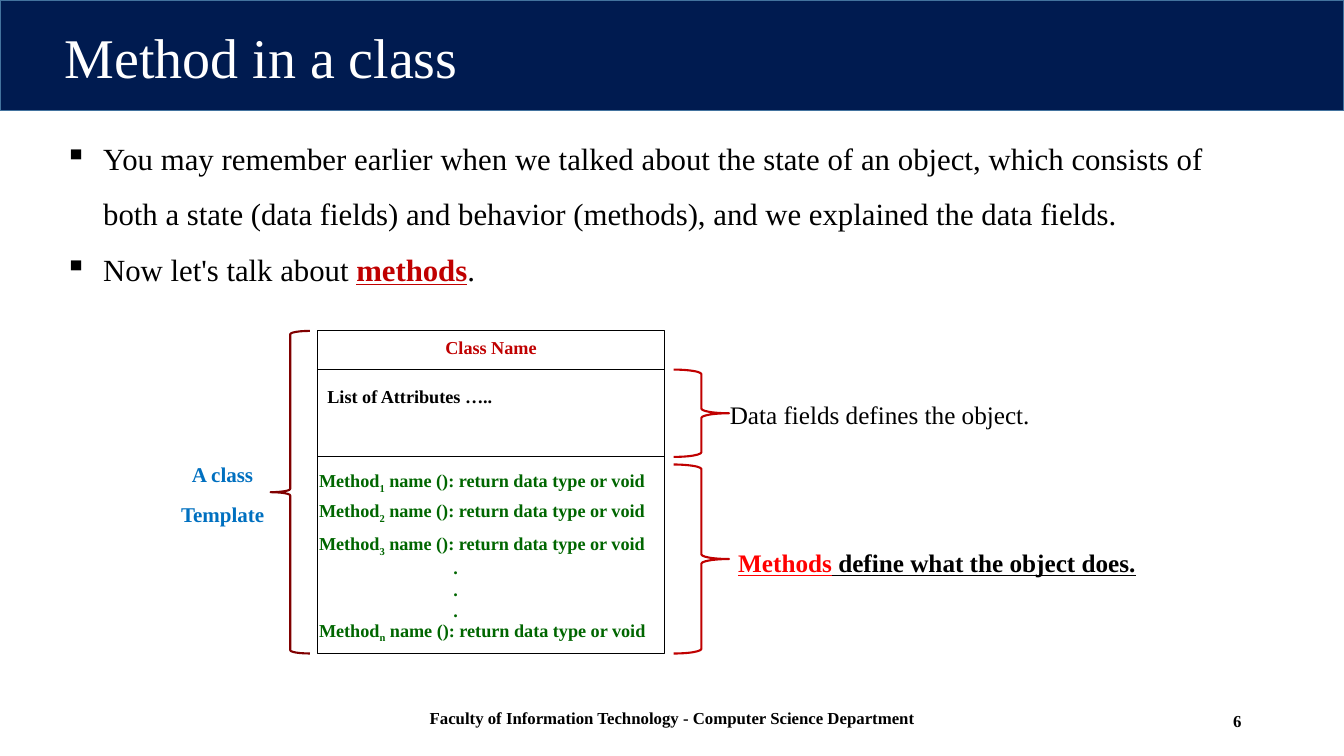
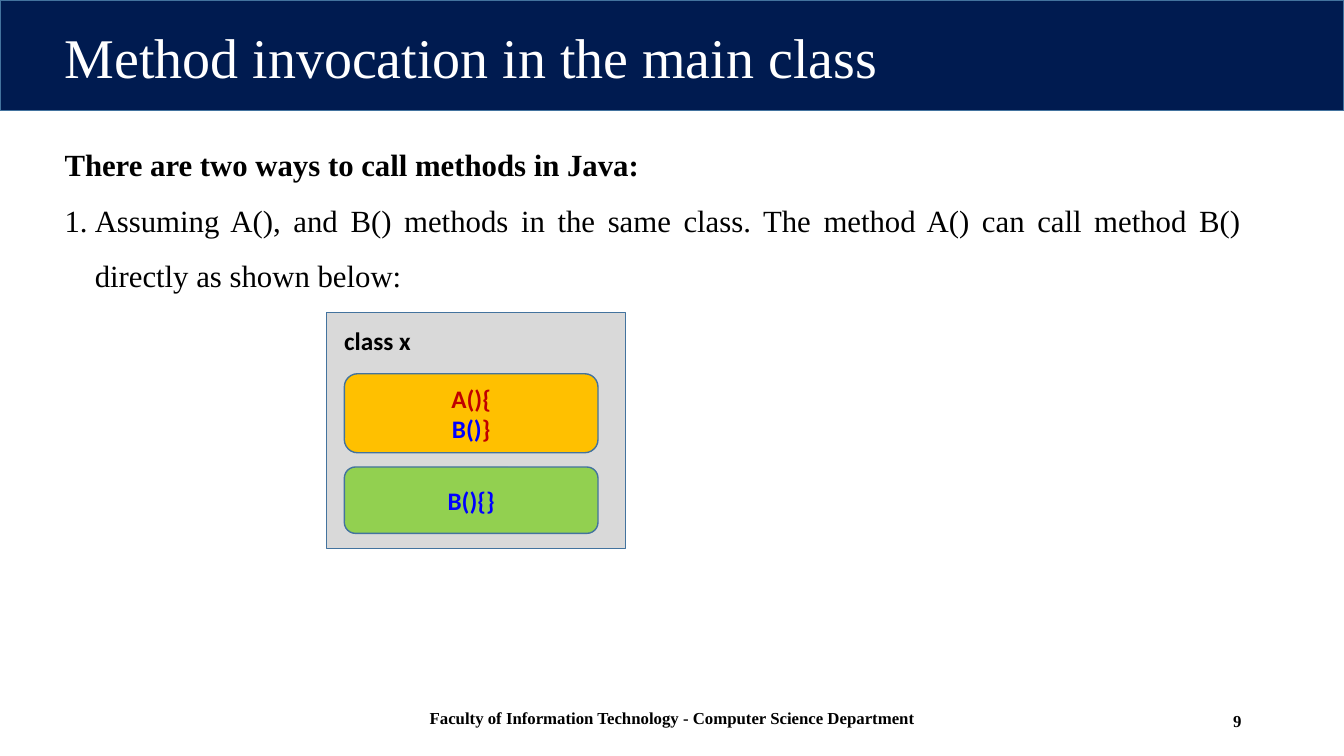
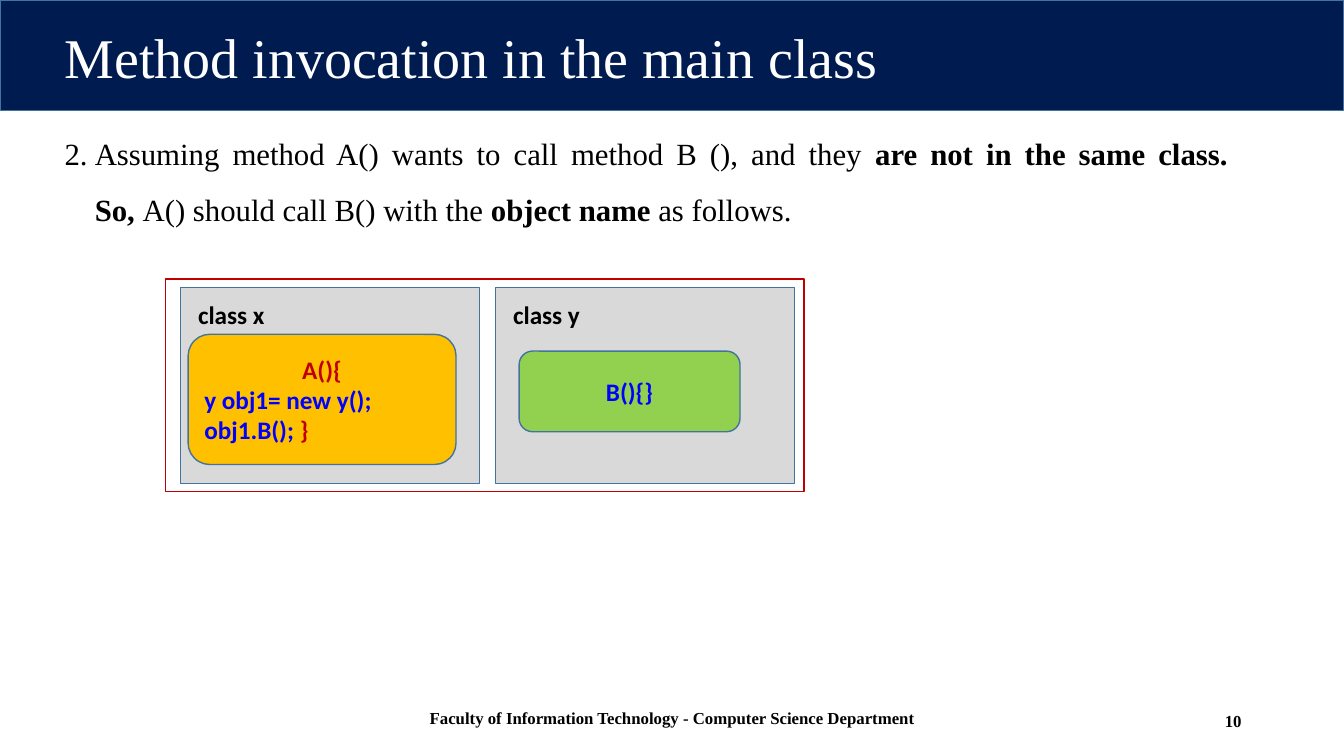
from dataclasses import dataclass
from lxml import etree
from pptx import Presentation
from pptx.dml.color import RGBColor
from pptx.enum.shapes import MSO_CONNECTOR, MSO_SHAPE
from pptx.enum.text import MSO_ANCHOR, MSO_AUTO_SIZE, PP_ALIGN
from pptx.oxml.ns import qn
from pptx.util import Inches, Pt

RECT, ROUND = MSO_SHAPE.RECTANGLE, MSO_SHAPE.ROUNDED_RECTANGLE
LBRACE, RBRACE = MSO_SHAPE.LEFT_BRACE, MSO_SHAPE.RIGHT_BRACE
LINE = MSO_CONNECTOR.STRAIGHT
TOP, MID = MSO_ANCHOR.TOP, MSO_ANCHOR.MIDDLE
LEFT, CENTER = PP_ALIGN.LEFT, PP_ALIGN.CENTER
RIGHT, JUST = PP_ALIGN.RIGHT, PP_ALIGN.JUSTIFY


@dataclass(frozen=True)
class Theme:
    serif: str = "Times New Roman"
    sans: str = "Calibri"
    navy: str = "001B50"
    edge: str = "43739E"
    white: str = "FFFFFF"
    black: str = "000000"
    crimson: str = "C00000"
    maroon: str = "800000"
    red: str = "FF0000"
    green: str = "006600"
    sky: str = "0070C0"
    blue: str = "0000FF"
    gray: str = "D9D9D9"
    gold: str = "FFC000"
    lime: str = "92D050"
    title: int = 40
    body: int = 22
    note: int = 18
    side: int = 15
    small: int = 13
    foot: int = 12


T = Theme()
deck = Presentation()
deck.slide_width, deck.slide_height = Inches(40) // 3, Inches(7.5)
CELL = deck.slide_width / 160


def shape(page, kind, area, fill=None, line=T.edge, width=1):
    spot = [round(v * CELL) for v in area]
    if kind is None:
        return page.shapes.add_textbox(*spot)
    item = page.shapes.add_shape(kind, *spot)
    item.shadow.inherit = False
    if fill:
        item.fill.solid()
        item.fill.fore_color.rgb = RGBColor.from_string(fill)
    else:
        item.fill.background()
    item.line.color.rgb = RGBColor.from_string(line)
    item.line.width = Pt(width)
    return item


def write(item, size, rows, align=LEFT, anchor=TOP, face=T.serif, lead=None, after=0):
    frame = item.text_frame
    frame.word_wrap = True
    frame.auto_size = MSO_AUTO_SIZE.NONE
    frame.vertical_anchor = anchor
    for i, row in enumerate(rows):
        para = frame.add_paragraph() if i else frame.paragraphs[0]
        para.alignment = align
        para.space_after = Pt(after)
        if lead:
            para.line_spacing = lead
        for text, color, marks in row:
            if text == "\n":
                para.add_line_break()
                continue
            run = para.add_run()
            run.text = text
            font = run.font
            font.name, font.size = face, Pt(size)
            font.color.rgb = RGBColor.from_string(color)
            font.bold, font.underline = "b" in marks, "u" in marks
            if "s" in marks:
                run._r.get_or_add_rPr().set("baseline", "-25000")
    return frame.paragraphs


plan = [
    ("Method in a class", "6", (6.5, 13.7, 137.9, 21.2), MID, [
        ("▪", 4.6, [("You may remember earlier when we talked about the state of an object, "
                     "which consists of both a state (data fields) and behavior (methods), "
                     "and we explained the data fields. ", T.black, "")]),
        ("▪", 4.6, [("Now let's talk about ", T.black, ""), ("methods", T.crimson, "bu"),
                    (".", T.black, "")]),
    ]),
    ("Method invocation in the main class", "9", (6.5, 14.6, 142.4, 21.2), TOP, [
        (None, 0, [("There are two ways to call methods in Java:", T.black, "b")]),
        (1, 3.6, [("Assuming A(), and B() methods in the same class. The method A() can call "
                   "method B() directly as shown below:", T.black, "")]),
    ]),
    ("Method invocation in the main class", "10", (6.5, 13.3, 142.4, 14.5), TOP, [
        (2, 3.6, [("Assuming method A() wants to call method B (), and they ", T.black, ""),
                  ("are not in the same class. ", T.black, "b"), ("\n", T.black, ""),
                  ("So, ", T.black, "b"), ("A() should call B() with the ", T.black, ""),
                  ("object name ", T.black, "b"), ("as follows.", T.black, "")]),
    ]),
]

base = deck.slide_layouts[5]
for hold in list(base.placeholders)[1:]:
    hold.element.getparent().remove(hold.element)

pages = []
for title, num, area, anchor, rows in plan:
    page = deck.slides.add_slide(base)
    pages.append(page)
    head = page.shapes.title
    head.left, head.top, head.width, head.height = [
        round(v * CELL) for v in (6.5, 2.9, 110.8, 8.5)]
    write(head, T.title, [[(title, T.white, "")]], anchor=MID, lead=0.9)
    body = shape(page, None, area)
    paras = write(body, T.body, [row[2] for row in rows], JUST, anchor, lead=1.5)
    for para, (mark, step, _) in zip(paras, rows):
        if mark is None:
            continue
        prop = para._p.get_or_add_pPr()
        prop.set("marL", str(round(step * CELL)))
        prop.set("indent", str(-round(step * CELL)))
        if mark == "▪":
            etree.SubElement(prop, qn("a:buChar"), char=mark)
        else:
            etree.SubElement(prop, qn("a:buAutoNum"), type="arabicPeriod", startAt=str(mark))
    tag = shape(page, None, (113, 83.4, 36, 4.8))
    write(tag, T.foot, [[(num, T.black, "b")]], RIGHT, MID)

first, second, third = pages

band = shape(first, RECT, (0, 0, 160, 13.2), T.navy)
foot = shape(first, None, (25.7, 82.6, 108.7, 5.8))
write(foot, T.foot, [[("Faculty of Information Technology - Computer Science Department",
                       T.black, "b")]], CENTER, MID)
for spot, part in enumerate((band, foot), 2):
    base.shapes.element.insert(spot, part.element)

left, top, wide, high = 37.8, 39.4, 41.3, 38.4
card = shape(first, RECT, (left, top, wide, high), T.white, T.black, 0.75)
paras = write(card, T.small, [[("Class Name", T.crimson, "b")],
                              [("List of Attributes …..", T.black, "b")]], after=2)
paras[0].alignment = CENTER
paras[1].space_before = Pt(18)
for y in (44, 54.4):
    rule = first.shapes.add_connector(
        LINE, *[round(v * CELL) for v in (left, y, left + wide, y)])
    rule.line.color.rgb = RGBColor.from_string(T.black)
    rule.line.width = Pt(0.75)
    etree.SubElement(rule._element.spPr, qn("a:effectLst"))

for sub, y in zip("123n", (55.3, 58.9, 62.8, 73.1)):
    write(shape(first, None, (36.8, y, 42.6, 3.8)), T.small,
          [[("Method", T.green, "b"), (sub, T.green, "bs"),
            (" name (): return data type or void", T.green, "b")]])
write(shape(first, None, (52.8, 65.6, 3, 9.1)), T.small, [[(".", T.green, "b")]] * 3)

for kind, area, color in (
    (LBRACE, (32.2, top, 4.7, high), T.maroon),
    (RBRACE, (80.2, 44, 6.6, 10.4), T.crimson),
    (RBRACE, (80.2, 55.3, 6.6, 22.5), T.crimson),
):
    shape(first, kind, area, None, color, 1.5)

write(shape(first, None, (18.5, 54.4, 16, 9)), T.side,
      [[("A class", T.sky, "b")], [("Template", T.sky, "b")]], CENTER, after=10)
write(shape(first, None, (85.7, 46.9, 42, 4.8)), T.note,
      [[("Data fields defines the object.", T.black, "")]])
write(shape(first, None, (86.7, 62.8, 51.5, 6)), T.note,
      [[("Methods", T.red, "bu"), (" define what the object does.", T.black, "bu")]],
      JUST, lead=1.5)

shape(third, RECT, (19.7, 33.2, 76, 25.3), T.white, T.crimson)
for page, name, x, y, h in (
    (second, "class x", 38.9, 37.2, 28.1),
    (third, "class x", 21.5, 34.2, 23.4),
    (third, "class y", 59, 34.2, 23.4),
):
    shape(page, RECT, (x, y, 35.6, h), T.gray)
    write(shape(page, None, (x + 0.9, y + 0.9, 14, 4.8)), T.note,
          [[(name, T.black, "b")]], face=T.sans)

start = [("A(){", T.crimson, "b")]
end = ("}", T.crimson, "b")
callee = [[("B(){}", T.blue, "b")]]
for page, area, fill, rows in (
    (second, (41, 44.5, 30.2, 9.4), T.gold, [start, [("B()", T.blue, "b"), end]]),
    (second, (41, 55.6, 30.2, 7.9), T.lime, callee),
    (third, (22.4, 39.8, 31.9, 15.5), T.gold,
     [start, [("y obj1= new y();", T.blue, "b")], [("obj1.B(); ", T.blue, "b"), end]]),
    (third, (61.8, 41.8, 26.3, 9.6), T.lime, callee),
):
    paras = write(shape(page, ROUND, area, fill), T.note, rows, CENTER, MID, T.sans)
    if len(rows) > 2:
        for para in paras[1:]:
            para.alignment = LEFT

deck.save("out.pptx")
